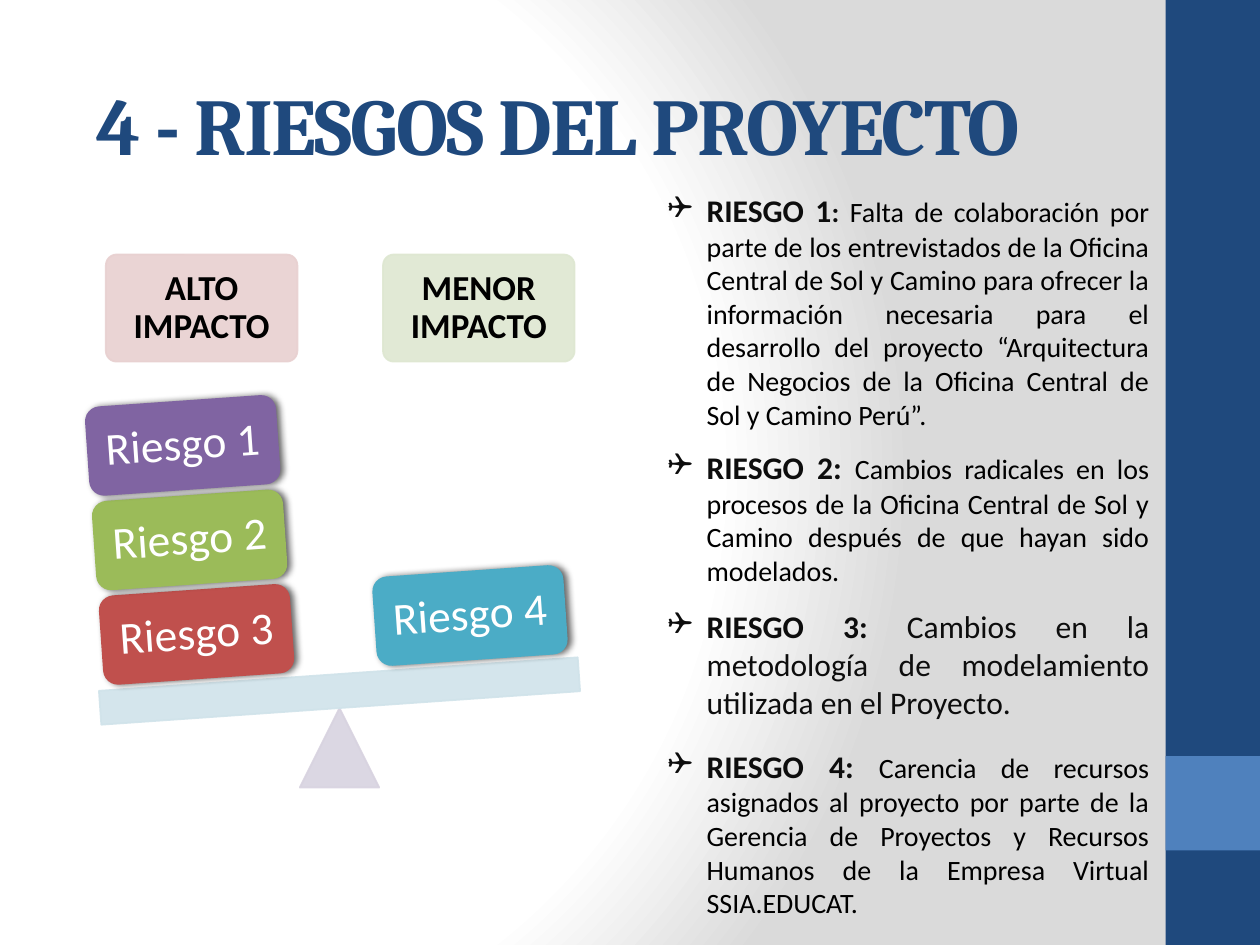
"""Build the project risks slide with its balance diagram and risk list."""
from pptx import Presentation
from pptx.dml.color import RGBColor as Rgb
from pptx.enum.shapes import MSO_SHAPE as Shape
from pptx.enum.text import MSO_ANCHOR as Anchor, MSO_AUTO_SIZE as AutoSize, PP_ALIGN as Align
from pptx.oxml import parse_xml
from pptx.oxml.ns import nsdecls, qn
from pptx.util import Inches, Pt

THEME = {
    "navy": "1F497D", "blue": "4F81BD", "white": "FFFFFF", "gray": "DADADA",
    "black": "000000", "ink": "0D0D0D", "pink": "E8D0D0", "sage": "DEE7D1",
    "lilac": "D8D3E0", "sky": "D0E3EA", "red": "C0504D", "green": "9BBB59",
    "purple": "8064A2", "teal": "4BACC6", "heading": "Cambria", "body": "Calibri",
    "title_size": 46, "card_size": 26, "header_size": 20, "label_size": 18, "detail_size": 16,
}
TILT = 356

presentation = Presentation()
presentation.slide_width, presentation.slide_height = Inches(10), Inches(7.5)
COLUMN = presentation.slide_width / 100
ROW = presentation.slide_height / 75
slide = presentation.slides.add_slide(presentation.slide_layouts[6])


def add_block(kind, place, color, rotation=0, alpha=None, adjustment=None):
    left, top, width, height = place
    shape = slide.shapes.add_shape(
        kind, int(left * COLUMN), int(top * ROW), int(width * COLUMN), int(height * ROW))
    shape.shadow.inherit = False
    shape.rotation = rotation
    shape.fill.solid()
    shape.fill.fore_color.rgb = Rgb.from_string(THEME[color])
    if adjustment is not None:
        shape.adjustments[0] = adjustment
    if alpha is None:
        shape.line.fill.background()
    else:
        shape.line.color.rgb = Rgb.from_string(THEME[color])
        shape.line.width = Pt(1)
        for tint in shape._element.spPr.iter(qn("a:srgbClr")):
            tint.append(parse_xml(f'<a:alpha {nsdecls("a")} val="{alpha * 1000}"/>'))
    return shape


def write_text(shape, runs, inset=None, **layout):
    frame = shape.text_frame
    frame.word_wrap = True
    frame.vertical_anchor = layout.pop("anchor", Anchor.TOP)
    if inset is not None:
        for side in ("left", "right", "top", "bottom"):
            setattr(frame, f"margin_{side}", Inches(inset))
    paragraph = frame.paragraphs[0]
    for name, value in layout.items():
        setattr(paragraph, name, value)
    for text, size, color, bold, family in runs:
        run = paragraph.add_run()
        run.text = text
        run.font.color.rgb = Rgb.from_string(THEME[color])
        formats = {"size": Pt(THEME[size]), "bold": bold, "name": THEME[family]}
        for name, value in formats.items():
            setattr(run.font, name, value)
    return paragraph


stops = "".join(
    f'<a:gs pos="{position * 1000}"><a:srgbClr val="{THEME[color]}"/></a:gs>'
    for position, color in ((0, "white"), (75, "white"), (100, "gray")))
slide._element.cSld.insert(0, parse_xml(
    f'<p:bg {nsdecls("p", "a")}><p:bgPr><a:gradFill rotWithShape="1"><a:gsLst>{stops}</a:gsLst>'
    '<a:path path="circle"><a:fillToRect l="20000" t="50000" r="100000" b="50000"/></a:path>'
    '</a:gradFill><a:effectLst/></p:bgPr></p:bg>'))

add_block(Shape.RECTANGLE, (92.5, 0, 7.5, 75), "navy")
add_block(Shape.RECTANGLE, (92.5, 60, 7.5, 7.5), "blue")

title = slide.shapes.add_textbox(
    int(6.7 * COLUMN), int(5.5 * ROW), int(89.4 * COLUMN), int(10 * ROW))
heading = write_text(
    title, [("4 - RIESGOS DEL PROYECTO", "title_size", "navy", True, "heading")])
heading.runs[0].font._element.set("spc", "-100")

centered = {"anchor": Anchor.MIDDLE, "alignment": Align.CENTER, "line_spacing": 0.9}
for left, label, color in ((8.4, "ALTO IMPACTO", "pink"), (30.4, "MENOR IMPACTO", "sage")):
    header = add_block(
        Shape.ROUNDED_RECTANGLE, (left, 20.2, 15.2, 8.5), color, alpha=90, adjustment=0.1)
    write_text(header, [(label, "header_size", "black", True, "body")], 0.08, **centered)

add_block(Shape.ISOSCELES_TRIANGLE, (23.8, 56.2, 6.3, 6.3), "lilac", alpha=90)
add_block(Shape.RECTANGLE, (7.9, 53.5, 38.1, 2.7), "sky", TILT, alpha=90)

cards = [(8 - 0.55 * level, 46.8 - 7.5 * level, f"Riesgo {3 - level}", color)
         for level, color in enumerate(("red", "green", "purple"))]
cards.append((29.7, 45.3, "Riesgo 4", "teal"))
for left, top, label, color in cards:
    card = add_block(Shape.ROUNDED_RECTANGLE, (left, top, 15.2, 7.1), color, TILT)
    card._element.spPr.find(qn("a:effectLst")).append(parse_xml(
        f'<a:outerShdw {nsdecls("a")} blurRad="{Pt(4)}" dist="{Pt(2)}" dir="0" '
        f'rotWithShape="0"><a:srgbClr val="{THEME["black"]}"><a:alpha val="60000"/>'
        '</a:srgbClr></a:outerShdw>'))
    write_text(card, [(label, "card_size", "white", False, "body")], 0.11, **centered)

risks = [
    (14.7, 20.2, [
        ("RIESGO 1", "label_size", "ink", True),
        (": ", "detail_size", "ink", True),
        ("Falta de colaboración por parte de los entrevistados de la Oficina Central de "
         "Sol y Camino para ofrecer la información necesaria para el desarrollo del proyecto "
         "“Arquitectura de Negocios de la Oficina Central de Sol y Camino Perú”.",
         "detail_size", "black", False)]),
    (35.1, 12.1, [
        ("RIESGO 2: ", "label_size", "ink", True),
        ("Cambios radicales en los procesos de la Oficina Central de Sol y Camino después "
         "de que hayan sido modelados.", "detail_size", "black", False)]),
    (47.7, 10.1, [
        ("RIESGO 3: ", "label_size", "ink", True),
        ("Cambios en la metodología de modelamiento utilizada en el Proyecto.",
         "label_size", "ink", False)]),
    (58.8, 17.8, [
        ("RIESGO 4: ", "label_size", "ink", True),
        ("Carencia de recursos asignados al proyecto por parte de la Gerencia de Proyectos "
         "y Recursos Humanos de la Empresa Virtual SSIA.EDUCAT.",
         "detail_size", "black", False)]),
]
for top, height, runs in risks:
    box = slide.shapes.add_textbox(
        int(52 * COLUMN), int(top * ROW), int(40.2 * COLUMN), int(height * ROW))
    box.text_frame.auto_size = AutoSize.SHAPE_TO_FIT_TEXT
    paragraph = write_text(box, [(*run, "body") for run in runs], alignment=Align.JUSTIFY)
    properties = paragraph._element.get_or_add_pPr()
    properties.set("marL", str(Inches(0.31)))
    properties.set("indent", str(-Inches(0.31)))
    properties.append(parse_xml(f'<a:buFont {nsdecls("a")} typeface="Wingdings"/>'))
    properties.append(parse_xml(f'<a:buChar {nsdecls("a")} char="❑"/>'))

presentation.save("out.pptx")
